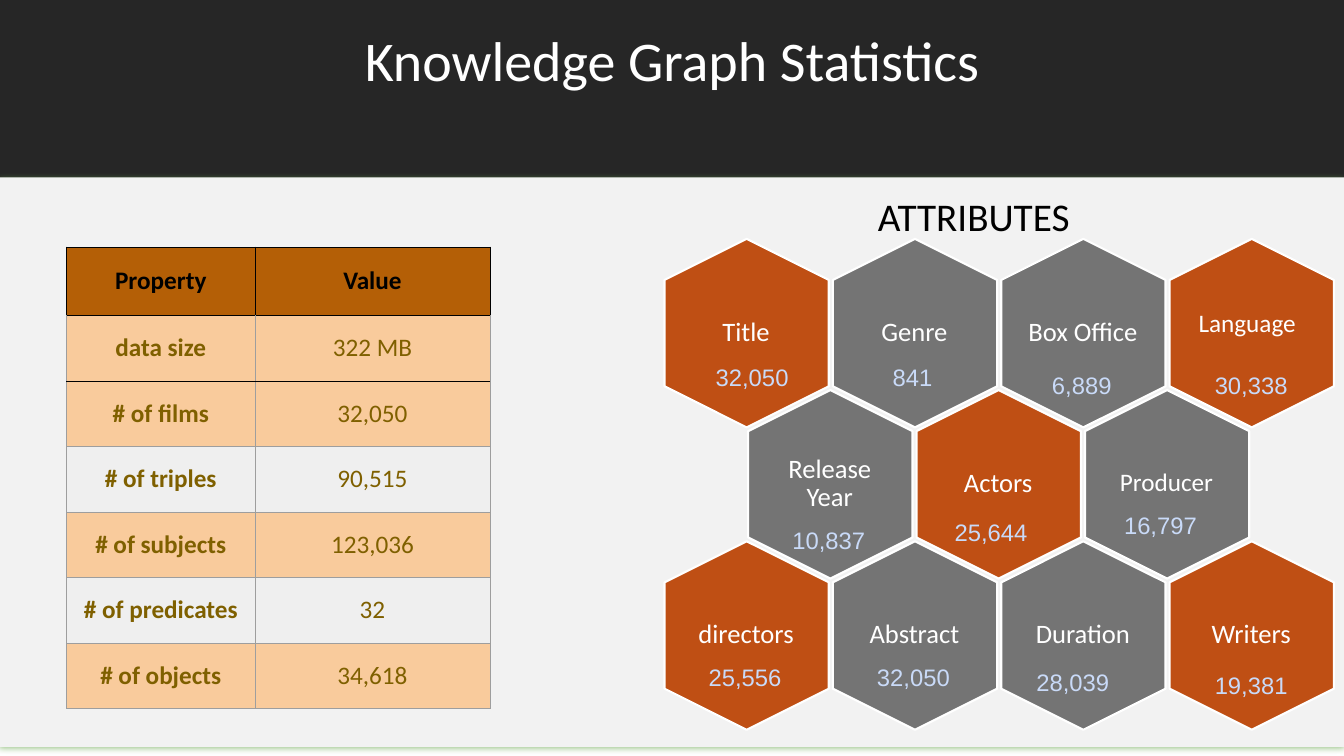
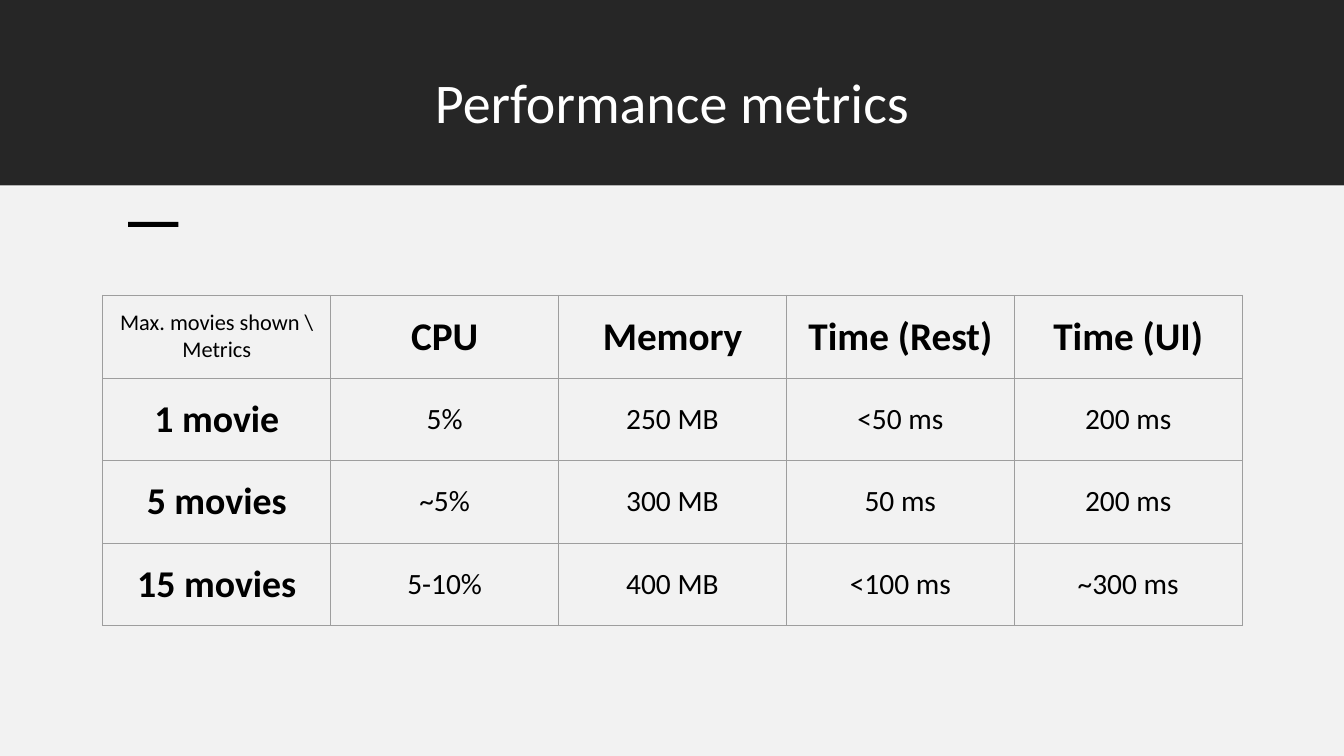
"""Build two slides on a movie knowledge graph: its statistics and its performance."""
from lxml.etree import SubElement
from pptx import Presentation
from pptx.dml.color import RGBColor
from pptx.enum.shapes import MSO_SHAPE as SHAPE
from pptx.enum.text import MSO_ANCHOR as ANCHOR, PP_ALIGN as ALIGN
from pptx.oxml.ns import qn
from pptx.util import Emu, Pt

PX = 9144
COLORS = {
    "band": "262626", "panel": "F2F2F2", "white": "FFFFFF", "black": "000000",
    "orange": "BF4F14", "gray": "747474", "count": "C9DAF8", "glow": "6AA84F",
    "header": "B45F06", "peach": "F9CB9C", "pale": "EFEFEF", "olive": "7F6000",
    "grid": "9E9E9E",
}
FONT = "Calibri"

PROPERTIES = [
    ("Property", "Value"),
    ("data size", "322 MB"),
    ("# of films", "32,050"),
    ("# of triples", "90,515"),
    ("# of subjects", "123,036"),
    ("# of predicates", "32"),
    ("# of objects", "34,618"),
]
PROPERTY_FILLS = ["header", "peach", "peach", "pale", "peach", "pale", "peach"]

# name, size, label shift, count, count shift, colour
ATTRIBUTES = [
    [("Title", 19, (0, 0), "32,050", (6, 46), "orange"),
     ("Genre", 19, (0, 0), "841", (-2, 46), "gray"),
     ("Box Office", 19, (0, 0), "6,889", (-1, 54), "gray"),
     ("Language", 18, (-4, -8), "30,338", (0, 54), "orange")],
    [("Release Year", 19, (0, 0), "10,837", (-1, 58), "gray"),
     ("Actors", 19, (0, 0), "25,644", (-7, 50), "orange"),
     ("Producer", 18, (0, 0), "16,797", (-6, 43), "gray")],
    [("directors", 19, (0, 0), "25,556", (-1, 43), "orange"),
     ("Abstract", 19, (0, 0), "32,050", (-1, 43), "gray"),
     ("Duration", 19, (0, 0), "28,039", (-10, 48), "gray"),
     ("Writers", 19, (0, 0), "19,381", (0, 51), "orange")],
]
HEX_W, HEX_H = 187, 163
HEX_X, HEX_Y = 740, 330
PITCH_X, PITCH_Y = 167, 150

METRICS = [
    ("Max. movies shown \\ Metrics", "CPU", "Memory", "Time (Rest)", "Time (UI)"),
    ("1 movie", "5%", "250 MB", "<50 ms", "200 ms"),
    ("5 movies", "~5%", "300 MB", "50 ms", "200 ms"),
    ("15 movies", "5-10%", "400 MB", "<100 ms", "~300 ms"),
]


def rgb(name):
    return RGBColor.from_string(COLORS[name])


def px(*lengths):
    return [Emu(n * PX) for n in lengths]


def write(tf, text, size, color, bold=False, font=FONT, align=ALIGN.CENTER, spacing=None):
    tf.text = text
    p = tf.paragraphs[0]
    p.alignment = align
    if spacing:
        p.line_spacing = spacing
    f = p.runs[0].font
    f.name, f.size, f.bold = font, Pt(size), bold
    f.color.rgb = rgb(color)


def add_text(s, box, text, size, color, inset=(10, 5), anchor=ANCHOR.TOP, **style):
    tf = s.shapes.add_textbox(*px(*box)).text_frame
    tf.word_wrap = True
    tf.vertical_anchor = anchor
    tf.margin_left, tf.margin_top, tf.margin_right, tf.margin_bottom = px(*inset * 2)
    write(tf, text, size, color, **style)


def add_centered(s, x, y, text, size, color, width=114, **style):
    add_text(s, (x - width // 2, y - 65, width, 130), text, size, color,
             inset=(0, 0), anchor=ANCHOR.MIDDLE, spacing=0.9, **style)


def add_block(s, kind, box, fill, line=None):
    sp = s.shapes.add_shape(kind, *px(*box))
    sp.shadow.inherit = False
    sp.fill.solid()
    sp.fill.fore_color.rgb = rgb(fill)
    if line:
        sp.line.color.rgb = rgb(line)
        sp.line.width = Pt(1.5)
    else:
        sp.line.fill.background()
    return sp


def add_frame(prs, title, title_y, panel_y):
    s = prs.slides.add_slide(prs.slide_layouts[6])
    add_block(s, SHAPE.RECTANGLE, (0, -1, 1333, 185), "band")
    add_text(s, (126, title_y, 1081, 98), title, 40, "white", spacing=0.9)
    return s, add_block(s, SHAPE.RECTANGLE, (0, panel_y, 1333, 565), "panel")


def add_glow(sp):
    effects = sp._element.spPr.find(qn("a:effectLst"))
    shadow = SubElement(effects, qn("a:outerShdw"), blurRad=str(Pt(4.5)),
                        dist=str(Pt(1.5)), dir="5400000", rotWithShape="0")
    color = SubElement(shadow, qn("a:srgbClr"), val=COLORS["glow"])
    SubElement(color, qn("a:alpha"), val="65000")


def set_borders(cell, **sides):
    tc_pr = cell._tc.get_or_add_tcPr()
    for side in "LRTB":
        ln = SubElement(tc_pr, qn(f"a:ln{side}"), w=str(Pt(0.75)))
        fill = SubElement(ln, qn("a:solidFill"))
        SubElement(fill, qn("a:srgbClr"), val=COLORS[sides.get(side, "grid")])


def add_grid(s, x, y, widths, heights, rows, style):
    table = s.shapes.add_table(len(rows), len(widths),
                               *px(x, y, sum(widths), sum(heights))).table
    table.first_row = table.horz_banding = False
    for column, width in zip(table.columns, widths):
        column.width = Emu(width * PX)
    for r, (row, height) in enumerate(zip(rows, heights)):
        table.rows[r].height = Emu(height * PX)
        for c, text in enumerate(row):
            cell = table.cell(r, c)
            cell.vertical_anchor = ANCHOR.MIDDLE
            cell.margin_left, cell.margin_right, cell.margin_top, cell.margin_bottom = px(*[10] * 4)
            size, color, bold, fill, borders = style(r, c)
            write(cell.text_frame, text, size, color, bold)
            set_borders(cell, **borders)
            if fill:
                cell.fill.solid()
                cell.fill.fore_color.rgb = rgb(fill)
            else:
                cell.fill.background()


def property_style(r, c):
    sides = ("LRTB", "TB", "T")[r] if r < 3 else ""
    return (18, "olive" if r else "black", r == 0 or c == 0, PROPERTY_FILLS[r],
            dict.fromkeys(sides, "black"))


def metric_style(r, c):
    if r == 0:
        size = 28 if c else 16
    else:
        size = 21 if c else 27
    return size, "black", (r == 0) != (c == 0), None, {}


def add_honeycomb(s):
    for r, row in enumerate(ATTRIBUTES):
        y = HEX_Y + r * PITCH_Y
        for c, (name, size, (label_dx, label_dy), count, (dx, dy), color) in enumerate(row):
            x = HEX_X + c * PITCH_X + r % 2 * PITCH_X // 2
            box = (x - HEX_W // 2, y - HEX_H // 2, HEX_W, HEX_H)
            add_block(s, SHAPE.HEXAGON, box, color, "white").rotation = 90
            add_centered(s, x + label_dx, y + label_dy, name, size, "white")
    for r, row in enumerate(ATTRIBUTES):
        for c, (*_, count, (dx, dy), color) in enumerate(row):
            x = HEX_X + c * PITCH_X + r % 2 * PITCH_X // 2
            add_centered(s, x + dx, HEX_Y + r * PITCH_Y + dy, count, 17, "count", font="Arial")


def add_statistics(prs):
    s, panel = add_frame(prs, "Knowledge Graph Statistics", 28, 176)
    add_glow(panel)
    add_honeycomb(s)
    add_text(s, (861, 186, 314, 57), "ATTRIBUTES", 28, "black", align=ALIGN.LEFT)
    add_grid(s, 66, 245, [187, 233], [68] + [65] * 6, PROPERTIES, property_style)


def add_performance(prs):
    s, _ = add_frame(prs, "Performance metrics", 70, 185)
    add_block(s, SHAPE.RECTANGLE, (127, 220, 50, 5), "black")
    add_grid(s, 102, 293, [226] * 5, [82] * 4, METRICS, metric_style)


def main():
    prs = Presentation()
    prs.slide_width, prs.slide_height = px(1333, 750)
    add_statistics(prs)
    add_performance(prs)
    prs.save("out.pptx")


if __name__ == "__main__":
    main()
